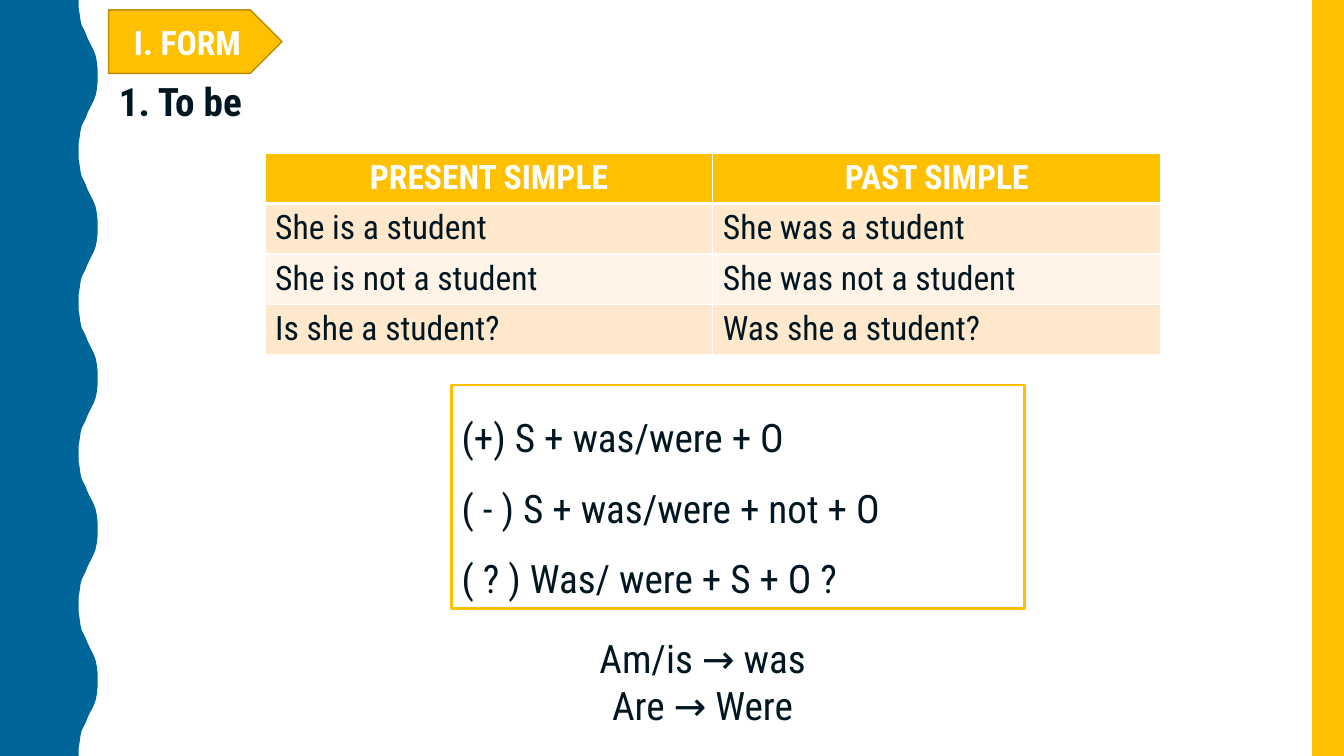
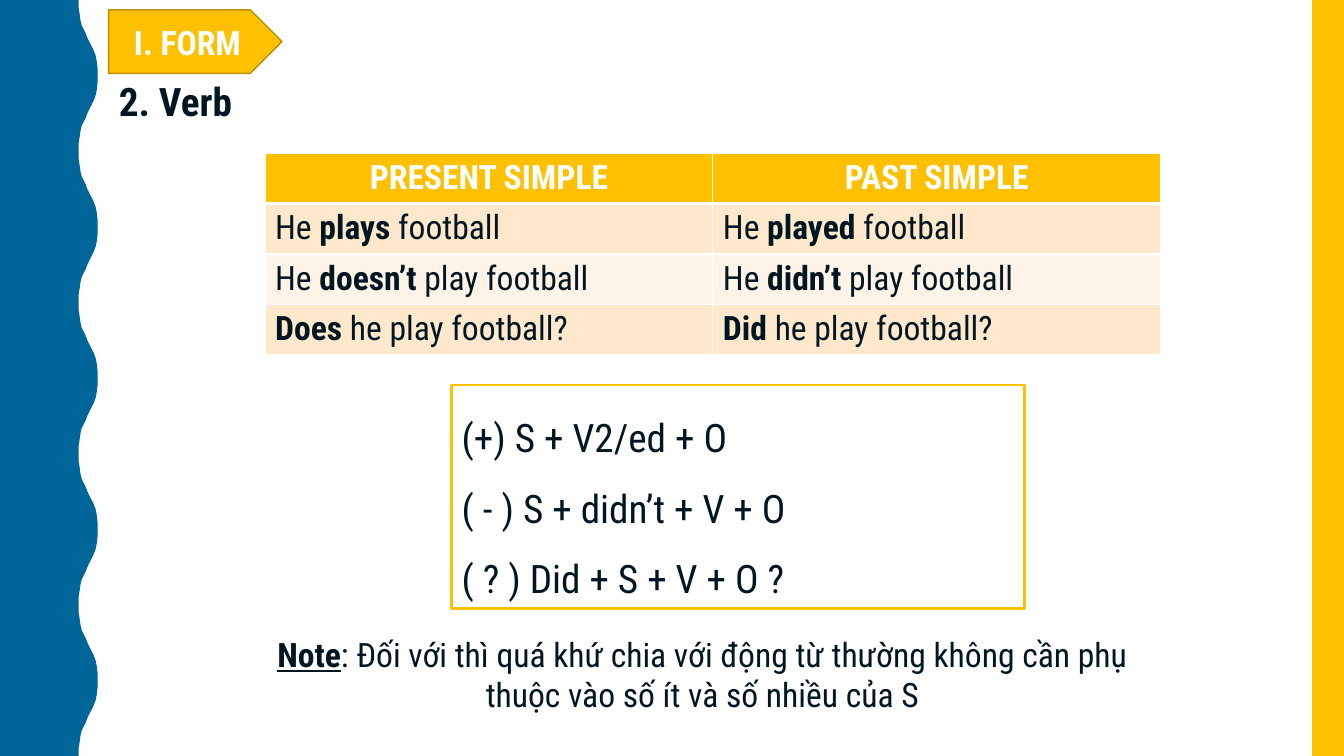
from dataclasses import dataclass

from lxml.etree import SubElement
from pptx import Presentation
from pptx.dml.color import RGBColor
from pptx.enum.shapes import MSO_SHAPE
from pptx.enum.text import MSO_ANCHOR, MSO_AUTO_SIZE, PP_ALIGN
from pptx.oxml.ns import qn
from pptx.util import Cm, Pt

HEADER = ("PRESENT SIMPLE", "PAST SIMPLE")
TAG = "I. FORM"

LESSONS = [
    {
        "title": "1. To be",
        "rows": [
            ("She is a student", "She was a student"),
            ("She is not a student", "She was not a student"),
            ("Is she a student?", "Was she a student?"),
        ],
        "formulas": [
            "(+) S + was/were + O",
            "( - ) S + was/were + not + O",
            "( ? ) Was/ were + S + O ?",
        ],
        "note": ["Am/is → was", "Are → Were"],
        "note_size": 28,
    },
    {
        "title": "2. Verb",
        "rows": [
            ("He *plays* football", "He *played* football"),
            ("He *doesn’t* play football", "He *didn’t* play football"),
            ("*Does* he play football?", "*Did* he play football?"),
        ],
        "formulas": [
            "(+) S + V2/ed + O",
            "( - ) S + didn’t + V + O",
            "( ? ) Did + S + V + O ?",
        ],
        "note": [
            "*Note*: Đối với thì quá khứ chia với động từ thường không cần phụ "
            "thuộc vào số ít và số nhiều của S"
        ],
        "note_size": 24,
    },
]


@dataclass(frozen=True)
class Theme:
    font: str = "Roboto Condensed"
    ink: str = "001722"
    white: str = "FFFFFF"
    blue: str = "006599"
    gold: str = "FFC000"
    gold_edge: str = "BD8E00"
    bands: tuple = ("FFE8CC", "FFF4E7")
    large: int = 28
    medium: int = 24


T = Theme()

SLIDE_W, SLIDE_H = 33.87, 19.05
TITLE_BOX = (2.74, 1.83, 6.4, 1.45)
TAG_BOX = (2.74, 0.25, 4.37, 1.6)
TABLE_BOX = (6.68, 3.86, 22.57, 5.08)
FORMULA_BOX = (11.38, 9.7, 14.43, 5.64)
NOTE_BOX = (6.68, 15.85, 22.05, 2.64)
BAR_W = 0.8

WAVE_COUNT = 5
WAVE_H = SLIDE_H / WAVE_COUNT
HALF_WAVE = [
    (1.98, 0), (1.98, 0.18), (2.01, 0.36), (2.03, 0.51), (2.06, 0.64),
    (2.11, 0.74), (2.16, 0.84), (2.21, 0.97), (2.26, 1.07), (2.31, 1.17),
    (2.36, 1.27), (2.41, 1.4), (2.44, 1.55), (2.46, 1.73), (2.46, 1.9),
]


def box(values):
    return [Cm(v) for v in values]


def place(sp, values):
    sp.left, sp.top, sp.width, sp.height = box(values)


def rgb(color):
    return RGBColor.from_string(color)


def write(tf, lines, size=T.large, color=T.ink, bold=False, align=PP_ALIGN.LEFT,
          anchor=MSO_ANCHOR.TOP, spacing=1.0, underline=False):
    tf.word_wrap = True
    tf.auto_size = MSO_AUTO_SIZE.NONE
    tf.vertical_anchor = anchor
    fill_paragraphs(tf, lines, size, color, bold, align, spacing, underline)


def fill_paragraphs(tf, lines, size, color, bold, align, spacing=1.0, underline=False):
    for i, line in enumerate(lines):
        p = tf.paragraphs[0] if i == 0 else tf.add_paragraph()
        p.alignment, p.line_spacing = align, spacing
        p.space_before = Pt(0)
        for j, part in enumerate(line.split("*")):
            if not part:
                continue
            marked = j % 2 == 1
            r = p.add_run()
            r.text = part
            r.font.name, r.font.size = T.font, Pt(size)
            r.font.color.rgb = rgb(color)
            r.font.bold = bold or marked
            r.font.underline = underline and marked


def paint(sp, fill, line=None, width=1):
    sp.shadow.inherit = False
    sp.fill.solid()
    sp.fill.fore_color.rgb = rgb(fill)
    if line:
        sp.line.color.rgb = rgb(line)
        sp.line.width = Pt(width)
    else:
        sp.line.fill.background()


def remove_bullets(tf):
    for p in tf.paragraphs:
        pPr = p._p.get_or_add_pPr()
        pPr.set("marL", "0")
        pPr.set("indent", "0")
        SubElement(pPr, qn("a:buNone"))


def set_borders(cell, bottom=1):
    tcPr = cell._tc.get_or_add_tcPr()
    widths = {"a:lnL": 1, "a:lnR": 1, "a:lnT": 1, "a:lnB": bottom}
    for i, (tag, width) in enumerate(widths.items()):
        ln = SubElement(tcPr, qn(tag), w=str(Pt(width)))
        SubElement(SubElement(ln, qn("a:solidFill")), qn("a:srgbClr"), val=T.white)
        tcPr.insert(i, ln)


def prepare_layout(layout):
    title, body, *footers = layout.placeholders
    place(title, TITLE_BOX)
    place(body, FORMULA_BOX)
    for ph in footers:
        ph.element.getparent().remove(ph.element)


def add_side_bands(slide):
    crest = HALF_WAVE + [(x, WAVE_H - y) for x, y in HALF_WAVE[-2::-1]]
    edge = [(x, y + n * WAVE_H) for n in range(WAVE_COUNT) for x, y in crest]
    outline = [box(point) for point in edge + [(0, SLIDE_H)]]
    builder = slide.shapes.build_freeform(0, 0)
    builder.add_line_segments(outline, close=True)
    wave = builder.convert_to_shape()
    paint(wave, T.blue)
    bar = slide.shapes.add_shape(
        MSO_SHAPE.RECTANGLE, *box((SLIDE_W - BAR_W, 0, BAR_W, SLIDE_H)))
    paint(bar, T.gold)
    for i, sp in enumerate((wave, bar)):
        slide.slide_layout.shapes.element.insert(2 + i, sp.element)


def add_comparison(slide, rows):
    cells = [HEADER, *rows]
    table = slide.shapes.add_table(len(cells), len(HEADER), *box(TABLE_BOX)).table
    for i, row in enumerate(cells):
        head = i == 0
        for j, text in enumerate(row):
            cell = table.cell(i, j)
            cell.fill.solid()
            cell.fill.fore_color.rgb = rgb(T.gold if head else T.bands[(i - 1) % 2])
            set_borders(cell, bottom=3 if head else 1)
            fill_paragraphs(cell.text_frame, [text], T.medium,
                            T.white if head else T.ink, head,
                            PP_ALIGN.CENTER if head else PP_ALIGN.LEFT)


def add_lesson(slide, lesson):
    title, body = slide.placeholders
    write(title.text_frame, [lesson["title"]], bold=True)
    write(body.text_frame, lesson["formulas"], spacing=1.5)
    remove_bullets(body.text_frame)
    body.line.color.rgb = rgb(T.gold)
    body.line.width = Pt(2)

    add_comparison(slide, lesson["rows"])

    note = slide.shapes.add_textbox(*box(NOTE_BOX))
    write(note.text_frame, lesson["note"], size=lesson["note_size"],
          align=PP_ALIGN.CENTER, underline=True)

    tag = slide.shapes.add_shape(MSO_SHAPE.PENTAGON, *box(TAG_BOX))
    paint(tag, T.gold, line=T.gold_edge)
    write(tag.text_frame, [TAG], size=T.medium, color=T.white, bold=True,
          align=PP_ALIGN.CENTER, anchor=MSO_ANCHOR.MIDDLE)


def main():
    prs = Presentation()
    prs.slide_width, prs.slide_height = box((SLIDE_W, SLIDE_H))
    layout = prs.slide_layouts[1]
    prepare_layout(layout)
    slides = [prs.slides.add_slide(layout) for _ in LESSONS]
    add_side_bands(slides[0])
    for slide, lesson in zip(slides, LESSONS):
        add_lesson(slide, lesson)
    prs.save("out.pptx")


if __name__ == "__main__":
    main()
